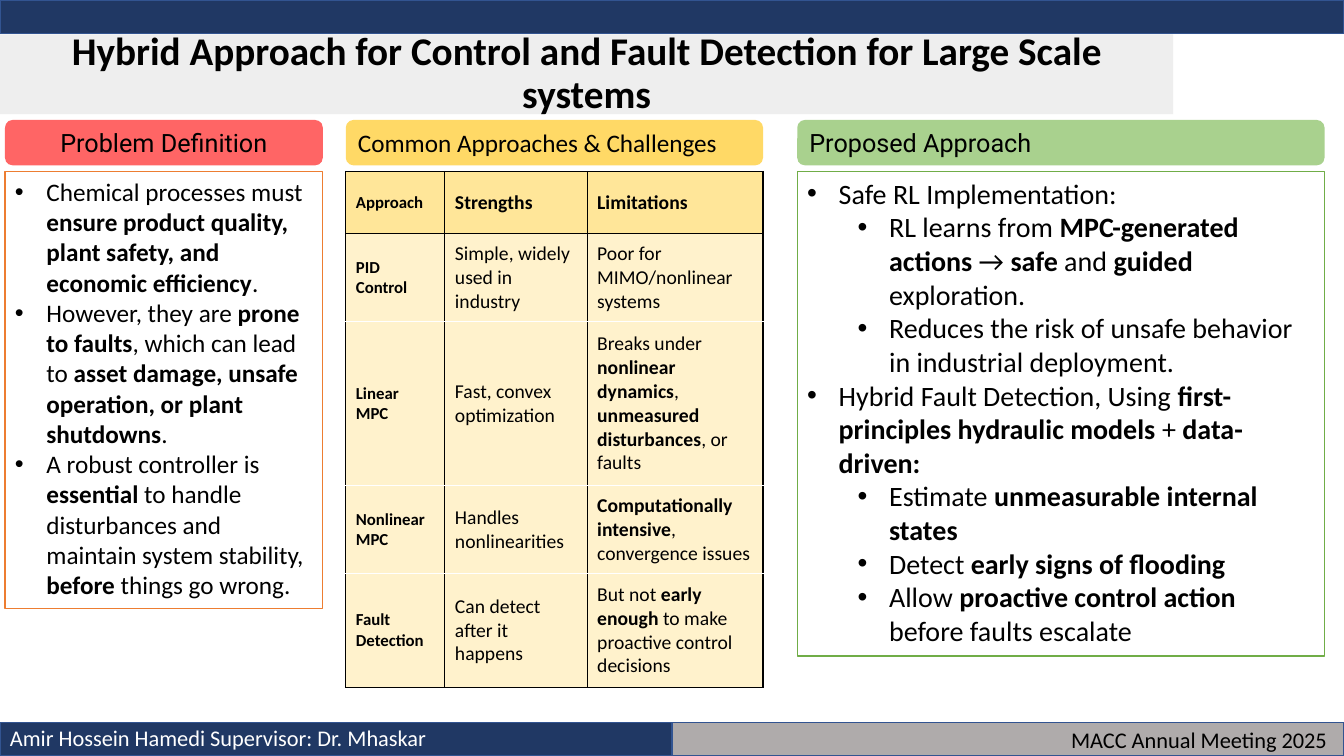
import pptx
import pptx.util
import pptx.dml.color
import pptx.enum.shapes
import pptx.enum.text
import pptx.oxml
import pptx.oxml.ns

Pt = pptx.util.Pt
SHAPE = pptx.enum.shapes.MSO_SHAPE
ALIGN = pptx.enum.text.PP_ALIGN
ANCHOR = pptx.enum.text.MSO_ANCHOR
AUTO_SIZE = pptx.enum.text.MSO_AUTO_SIZE

NAVY, NAVY_EDGE, GRAY = "203864", "325491", "AFABAB"
BLACK, WHITE = "000000", "FFFFFF"
HEADING_TOP, HEADING_HEIGHT, BODY_TOP = 85.7, 32.4, 122.4
BAR_HEIGHT = 23.8
INDENT, LEVEL_STEP = 22.5, 36

PROBLEM = [
    (0, "Chemical processes must **ensure product quality, plant safety, and economic efficiency**."),
    (0, "However, they are **prone to faults**, which can lead to **asset damage, unsafe operation, or plant shutdowns**."),
    (0, "A robust controller is **essential** to handle disturbances and maintain system stability, **before** things go wrong."),
]
PROPOSAL = [
    (0, "Safe RL Implementation:"),
    (1, "RL learns from **MPC-generated actions** → **safe** and **guided** exploration."),
    (1, "Reduces the risk of unsafe behavior in industrial deployment."),
    (0, "Hybrid Fault Detection, Using **first-principles hydraulic models** + **data-driven:**"),
    (1, "Estimate **unmeasurable internal states**"),
    (1, "Detect **early signs of flooding**"),
    (1, "Allow **proactive control action** before faults escalate"),
]
APPROACHES = [
    ("**Approach**", "**Strengths**", "**Limitations**"),
    ("**PID Control**", "Simple, widely used in industry", "Poor for MIMO/nonlinear systems"),
    ("**Linear MPC**", "Fast, convex optimization",
     "Breaks under **nonlinear dynamics**, **unmeasured disturbances**, or faults"),
    ("**Nonlinear MPC**", "Handles nonlinearities", "**Computationally intensive**, convergence issues"),
    ("**Fault Detection**", "Can detect after it happens",
     "But not **early enough** to make proactive control decisions"),
]
COLUMN_WIDTHS = [70.8, 101.6, 125.6]
ROW_HEIGHTS = [44.6, 62.6, 117.4, 62.6, 81.4]


def rgb(color):
    return pptx.dml.color.RGBColor.from_string(color)


def write(paragraph, text, size=18, font="Calibri", color=BLACK, align=ALIGN.LEFT):
    paragraph.alignment = align
    for index, part in enumerate(text.split("**")):
        if part:
            run = paragraph.add_run()
            run.text = part
            run.font.size = Pt(size)
            run.font.name = font
            run.font.bold = index % 2 == 1
            run.font.color.rgb = rgb(color)


def add_panel(slide, left, top, width, height, fill, line=None, shape=SHAPE.RECTANGLE):
    panel = slide.shapes.add_shape(shape, Pt(left), Pt(top), Pt(width), Pt(height))
    panel.shadow.inherit = False
    panel.fill.solid()
    panel.fill.fore_color.rgb = rgb(fill)
    if line:
        panel.line.color.rgb = rgb(line)
        panel.line.width = Pt(1)
    else:
        panel.line.fill.background()
    panel.text_frame.word_wrap = True
    return panel


def add_heading(slide, left, width, fill, text, **text_format):
    heading = add_panel(slide, left, HEADING_TOP, width, HEADING_HEIGHT, fill, shape=SHAPE.ROUNDED_RECTANGLE)
    write(heading.text_frame.paragraphs[0], text, **text_format)


def add_bullets(slide, left, width, height, line, items, size):
    frame = add_panel(slide, left, BODY_TOP, width, height, WHITE, line).text_frame
    frame.vertical_anchor = ANCHOR.TOP
    frame.auto_size = AUTO_SIZE.SHAPE_TO_FIT_TEXT
    for index, (level, text) in enumerate(items):
        paragraph = frame.add_paragraph() if index else frame.paragraphs[0]
        paragraph.level = level
        properties = paragraph._p.get_or_add_pPr()
        properties.set("marL", str(Pt(INDENT + level * LEVEL_STEP)))
        properties.set("indent", str(-Pt(INDENT)))
        for tag, attribute, value in (("buFont", "typeface", "Arial"), ("buChar", "char", "•")):
            bullet = pptx.oxml.parse_xml(
                f'<a:{tag} {pptx.oxml.ns.nsdecls("a")} {attribute}="{value}"/>')
            properties.append(bullet)
        write(paragraph, text, size=size)


def set_borders(cell, **colors):
    properties = cell._tc.get_or_add_tcPr()
    for side in "LRTB":
        properties.append(pptx.oxml.parse_xml(
            f'<a:ln{side} {pptx.oxml.ns.nsdecls("a")} w="{Pt(1)}"><a:solidFill>'
            f'<a:srgbClr val="{colors.get(side, BLACK)}"/></a:solidFill></a:ln{side}>'))


def add_approach_table(slide, left):
    table = slide.shapes.add_table(
        len(ROW_HEIGHTS), len(COLUMN_WIDTHS), Pt(left), Pt(BODY_TOP),
        Pt(sum(COLUMN_WIDTHS)), Pt(sum(ROW_HEIGHTS))).table
    for column, width in zip(table.columns, COLUMN_WIDTHS):
        column.width = Pt(width)
    last_row = len(ROW_HEIGHTS) - 1
    for row, height in enumerate(ROW_HEIGHTS):
        table.rows[row].height = Pt(height)
        for column, text in enumerate(APPROACHES[row]):
            cell = table.cell(row, column)
            set_borders(cell, T=BLACK if row < 2 else WHITE, B=BLACK if row in (0, last_row) else WHITE)
            cell.fill.solid()
            cell.fill.fore_color.rgb = rgb("FFF2CC" if row else "FFE699")
            cell.vertical_anchor = ANCHOR.MIDDLE
            write(cell.text_frame.paragraphs[0], text, size=14 if column else 12)


def add_footer(slide, left, top, width, text, color):
    footer = slide.shapes.add_textbox(Pt(left), Pt(top), Pt(width), Pt(26.6))
    footer.text_frame.word_wrap = True
    footer.text_frame.auto_size = AUTO_SIZE.SHAPE_TO_FIT_TEXT
    write(footer.text_frame.paragraphs[0], text, size=16, color=color)


def main():
    deck = pptx.Presentation()
    deck.slide_width, deck.slide_height = Pt(960), Pt(540)
    slide = deck.slides.add_slide(deck.slide_layouts[6])

    title = add_panel(slide, 0, 24.5, 838, 57, "EEEEEE").text_frame.paragraphs[0]
    title.line_spacing = 0.9
    write(title, "**Hybrid Approach for Control and Fault Detection for Large Scale systems**",
          size=28, align=ALIGN.CENTER)

    add_panel(slide, 0, 0, 960, BAR_HEIGHT, NAVY, NAVY_EDGE)
    for left, fill in ((0, NAVY), (480, GRAY)):
        add_panel(slide, left, 540 - BAR_HEIGHT, 480, BAR_HEIGHT, fill, NAVY_EDGE)
    add_footer(slide, 0, 513.4, 368.6, "Amir Hossein Hamedi Supervisor: Dr. Mhaskar", WHITE)
    add_footer(slide, 758, 515, 202, "MACC Annual Meeting 2025", BLACK)

    add_heading(slide, 3.6, 227, "FF6565", "Problem Definition", font="Roboto", align=ALIGN.CENTER)
    add_bullets(slide, 3.6, 227, 312.5, "ED7D31", PROBLEM, 18)
    add_heading(slide, 247, 298, "FFD966", "Common Approaches & Challenges")
    add_approach_table(slide, 247)
    add_heading(slide, 569.5, 376.6, "A9D18E", "Proposed Approach", font="Roboto")
    add_bullets(slide, 569.5, 376.6, 346.3, "70AD47", PROPOSAL, 20)

    deck.save("out.pptx")


if __name__ == "__main__":
    main()
